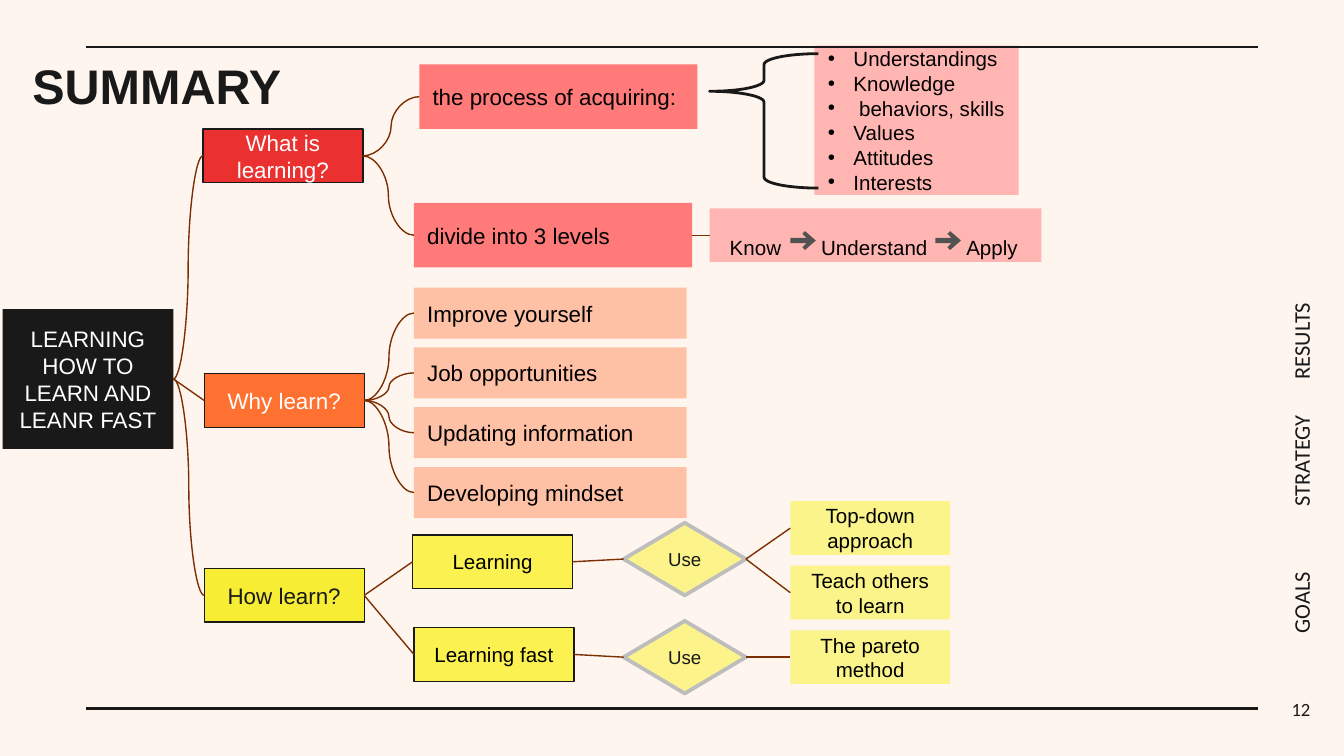
from collections import namedtuple

from pptx import Presentation
from pptx.dml.color import RGBColor
from pptx.enum.shapes import MSO_CONNECTOR as Connector, MSO_SHAPE as Preset
from pptx.enum.text import MSO_ANCHOR as Anchor, MSO_AUTO_SIZE as AutoSize, PP_ALIGN as Align
from pptx.oxml import parse_xml
from pptx.oxml.ns import nsdecls, qn
from pptx.oxml.xmlchemy import OxmlElement
from pptx.util import Inches, Pt

COLUMNS, ROWS = 100, 56.25
WIDTH = Inches(10)
UNIT = WIDTH / COLUMNS

CREAM = RGBColor(0xFF, 0xF5, 0xEF)
INK = RGBColor(0x19, 0x19, 0x19)
BLACK = RGBColor(0, 0, 0)
WHITE = RGBColor(0xFF, 0xFF, 0xFF)
BROWN = RGBColor(0x7C, 0x2E, 0x00)
RED = RGBColor(0xE6, 0x00, 0x00)
CORAL = RGBColor(0xFF, 0x29, 0x29)
PINK = RGBColor(0xFF, 0x57, 0x57)
ORANGE = RGBColor(0xFF, 0x50, 0x01)
PEACH = RGBColor(0xFF, 0xB4, 0x93)
YELLOW = RGBColor(0xF7, 0xEC, 0x07)
LEMON = RGBColor(0xFA, 0xF0, 0x2A)
PALE_LEMON = RGBColor(0xFB, 0xF4, 0x71)
CANARY = RGBColor(0xFC, 0xF4, 0x8A)
SILVER = RGBColor(0xBD, 0xBD, 0xBD)
GRAY = RGBColor(0x52, 0x52, 0x52)

LEFT, RIGHT = 1, 3
ARROW = [(11, 0), (9, 2), (12, 5), (0, 5), (0, 9), (12, 9), (9, 12), (11, 14), (19, 7)]


class Box(namedtuple("Box", "left top width height")):
    """A rectangle in grid columns and rows."""

    def area(self, left, top, width, height):
        """Return a box offset from this one's top left corner."""
        return Box(self.left + left, self.top + top, width, height)

    def emu(self):
        """Return the rectangle in slide units."""
        return [round(length * UNIT) for length in self]


def place(shape, box):
    """Move and size a shape to its box."""
    shape.left, shape.top, shape.width, shape.height = box.emu()


def write(shape, text, size, color, align=Align.CENTER, font="Arial", bold=False, inset=0.1):
    """Set and format the text of a shape."""
    frame = shape.text_frame
    frame.text = text
    frame.word_wrap = True
    frame.auto_size = AutoSize.NONE
    frame.vertical_anchor = Anchor.MIDDLE
    frame.margin_left = frame.margin_right = Inches(inset)
    frame.margin_top = frame.margin_bottom = Inches(inset)
    for paragraph in frame.paragraphs:
        paragraph.alignment = align
        for run in paragraph.runs:
            run.font.size, run.font.name = Pt(size), font
            run.font.bold, run.font.color.rgb = bold, color


def paint(shape, fill, opacity=100, line=None, line_width=0.75):
    """Give a shape its fill, opacity and outline."""
    shape.fill.solid()
    shape.fill.fore_color.rgb = fill
    if opacity < 100:
        alpha = OxmlElement("a:alpha")
        alpha.set("val", str(opacity * 1000))
        shape._element.spPr.find(qn("a:solidFill"))[0].append(alpha)
    if line is None:
        shape.line.fill.background()
    else:
        shape.line.color.rgb = line
        shape.line.width = Pt(line_width)


def node(slide, box, text, fill, opacity=80, size=12, color=BLACK, align=Align.CENTER,
         line=None, line_width=0.75, preset=Preset.RECTANGLE):
    """Add one filled node of the mind map."""
    shape = slide.shapes.add_shape(preset, *box.emu())
    shape.shadow.inherit = False
    paint(shape, fill, opacity, line, line_width)
    write(shape, text, size, color, align)
    return shape


def stroke(connector, color, width):
    """Format a connector and drop its shadow."""
    connector.line.color.rgb = color
    connector.line.width = Pt(width)
    connector._element.spPr.append(OxmlElement("a:effectLst"))


def link(slide, source, target, kind=Connector.STRAIGHT):
    """Join the right side of one node to the left side of another."""
    connector = slide.shapes.add_connector(kind, 0, 0, 0, 0)
    connector.begin_connect(source, RIGHT)
    connector.end_connect(target, LEFT)
    stroke(connector, BROWN, 0.75)


def label(slide, box, text, size, align, inset, rotation=0):
    """Add a text label of the slide's margin."""
    shape = slide.shapes.add_textbox(*box.emu())
    write(shape, text, size, INK, align, "Calibri", inset=inset)
    shape.rotation = rotation


def page_frame(slide, box):
    """Place the title, the rules, the section labels and the page number."""
    title = slide.shapes.title
    place(title, box.area(1.4, 3.2, 84.3, 6.3))
    write(title, "SUMMARY", 26, INK, Align.LEFT, bold=True)
    for row in (3.5, 52.7):
        left, top, width, _ = box.area(6.4, row, 87.2, 0).emu()
        rule = slide.shapes.add_connector(Connector.STRAIGHT, left, top, left + width, top)
        stroke(rule, INK, 1.5)
    for index, section in enumerate(("RESULTS", "STRATEGY", "GOALS")):
        label(slide, box.area(92.1, 22.5 + 9.45 * index, 9.4, 4), section, 12, Align.LEFT, 0.1, 270)
    label(slide, box.area(93.6, 50.6, 6.4, 4.3), "12", 10, Align.CENTER, 0)


def outcome_list(slide, box):
    """Fill the body placeholder with the bulleted outcomes."""
    body = slide.placeholders[1]
    place(body, box)
    paint(body, PINK, 40)
    outcomes = ("Understandings", "Knowledge", " behaviors, skills", "Values", "Attitudes", "Interests")
    write(body, "\n".join(outcomes), 11, BLACK, Align.LEFT)
    for paragraph in body.text_frame.paragraphs:
        paragraph.space_before = Pt(0)
        properties = paragraph._p.get_or_add_pPr()
        properties.set("marL", str(Inches(0.19)))
        properties.set("indent", str(-Inches(0.19)))
        bullet = OxmlElement("a:buChar")
        bullet.set("char", "•")
        properties.append(bullet)


def level_chain(slide, box):
    """Place the three levels with an arrow between each two."""
    chain = node(slide, box, "Know\tUnderstand\tApply", PINK, 40, 11, align=Align.LEFT)
    chain.text_frame.margin_left = Inches(0.15)
    paragraph = chain.text_frame.paragraphs[0]
    paragraph.line_spacing = 2.0
    stops = "".join(f'<a:tab pos="{Inches(stop)}" algn="l"/>' for stop in (0.68, 1.76))
    paragraph._p.get_or_add_pPr().append(parse_xml(f'<a:tabLst {nsdecls("a")}>{stops}</a:tabLst>'))
    for column in (6, 16.8):
        builder = slide.shapes.build_freeform(*ARROW[0], scale=UNIT / 10)
        builder.add_line_segments(ARROW[1:], close=True)
        arrow = builder.convert_to_shape(*box.area(column, 1.7, 0, 0).emu()[:2])
        arrow.shadow.inherit = False
        paint(arrow, GRAY)
    return chain


def what_branch(slide, box, root):
    """Place the branch that defines learning."""
    head = node(slide, box.area(0, 6.2, 11.9, 4), "What is learning?", RED, color=WHITE, line=INK)
    process = node(slide, box.area(16.1, 1.4, 20.7, 4.8), "the process of acquiring:", CORAL, 60, align=Align.LEFT)
    levels = node(slide, box.area(15.7, 11.7, 20.7, 4.8), "divide into 3 levels", CORAL, 60, align=Align.LEFT)
    outcome_list(slide, box.area(45.5, 0, 15.2, 11.1))
    brace = slide.shapes.add_shape(Preset.LEFT_BRACE, *box.area(37.7, 0.6, 8.1, 10).emu())
    brace.shadow.inherit = False
    brace.adjustments[0], brace.adjustments[1] = 0.1, 0.28
    brace.fill.background()
    brace.line.color.rgb, brace.line.width = INK, Pt(1.5)
    link(slide, levels, level_chain(slide, box.area(37.7, 12.1, 24.7, 4)))
    for source, target in ((root, head), (head, process), (head, levels)):
        link(slide, source, target, Connector.CURVE)


def why_branch(slide, box, root):
    """Place the branch that lists the reasons to learn."""
    head = node(slide, box.area(0, 6.4, 11.9, 4), "Why learn?", ORANGE, color=WHITE, line=INK)
    link(slide, root, head)
    reasons = ("Improve yourself", "Job opportunities", "Updating information", "Developing mindset")
    for index, text in enumerate(reasons):
        reason = node(slide, box.area(15.6, 4.45 * index, 20.3, 3.8), text, PEACH, align=Align.LEFT)
        link(slide, head, reason, Connector.CURVE)


def how_branch(slide, box, root):
    """Place the branch that leads from ways of learning to methods."""
    head = node(slide, box.area(0, 5, 11.9, 4), "How learn?", YELLOW, color=INK, line=INK)
    link(slide, root, head, Connector.CURVE)
    ways = (("Learning", 15.5, 2.5, 1.6, {0: "Top-down approach", 4.8: "Teach others to learn"}),
            ("Learning fast", 15.6, 9.4, 8.9, {9.6: "The pareto method"}))
    for text, column, row, use_row, methods in ways:
        way = node(slide, box.area(column, row, 11.9, 4), text, LEMON, size=11, line=INK)
        use = node(slide, box.area(31.2, use_row, 9.1, 5.4), "Use", CANARY, 100, 10, INK,
                   line=SILVER, line_width=2, preset=Preset.DIAMOND)
        link(slide, head, way)
        link(slide, way, use)
        for method_row, name in methods.items():
            method = node(slide, box.area(43.6, method_row, 11.9, 4), name, PALE_LEMON, size=11)
            link(slide, use, method)


def main():
    """Build the summary slide and save it."""
    presentation = Presentation()
    presentation.slide_width, presentation.slide_height = WIDTH, round(ROWS * UNIT)
    slide = presentation.slides.add_slide(presentation.slide_layouts[1])
    slide.background.fill.solid()
    slide.background.fill.fore_color.rgb = CREAM
    page_frame(slide, Box(0, 0, COLUMNS, ROWS))
    root = node(slide, Box(0.2, 23, 12.7, 10.4), "LEARNING HOW TO LEARN AND LEANR FAST", INK, 100, color=WHITE)
    what_branch(slide, Box(15.1, 3.4, 62.4, 16.1), root)
    why_branch(slide, Box(15.2, 21.4, 35.9, 17.1), root)
    how_branch(slide, Box(15.2, 37.3, 55.5, 13.6), root)
    presentation.save("out.pptx")


if __name__ == "__main__":
    main()
